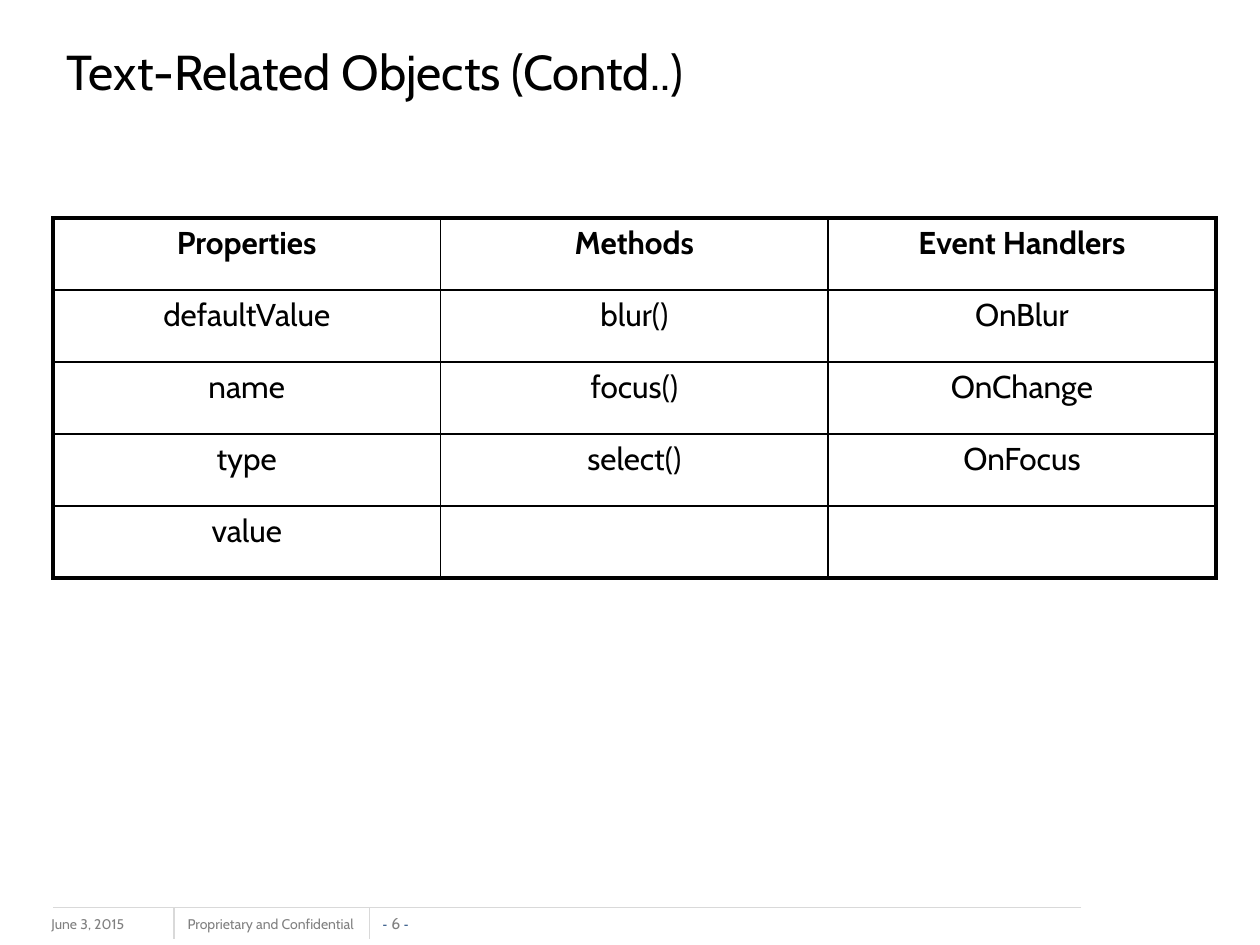
from pptx import Presentation
from pptx.dml.color import RGBColor
from pptx.enum.shapes import MSO_CONNECTOR as Conn
from pptx.enum.text import MSO_ANCHOR as Anchor, PP_ALIGN as Align
from pptx.oxml.ns import qn
from pptx.util import Inches, Pt
from lxml.etree import SubElement as Sub


def color(code):
    return RGBColor.from_string(code)


class Deck:
    font = "Cabin"
    ink = "000000"
    gray = "808080"
    rule = "D9D9D9"

    def __init__(self):
        self.prs = Presentation()
        self.prs.slide_width = Inches(10)
        self.prs.slide_height = Inches(7.5)
        self.slide = self.prs.slides.add_slide(self.prs.slide_layouts[5])

    def run(self, para, text, size, code, font=None, bold=False):
        run = para.add_run()
        run.text = text
        run.font.name = font or self.font
        run.font.size = Pt(size)
        run.font.bold = bold
        run.font.color.rgb = color(code)

    def title(self, text, box):
        shape = self.slide.shapes.title
        shape.left, shape.top, shape.width, shape.height = map(Inches, box)
        frame = shape.text_frame
        frame.vertical_anchor = Anchor.MIDDLE
        frame.word_wrap = True
        para = frame.paragraphs[0]
        para.alignment = Align.LEFT
        self.run(para, text, 28, self.ink)

    def text(self, box, runs, wrap=False, tight=False):
        frame = self.slide.shapes.add_textbox(*map(Inches, box)).text_frame
        frame.word_wrap = wrap
        para = frame.paragraphs[0]
        if tight:
            frame.margin_left = frame.margin_right = 0
            frame.margin_top = frame.margin_bottom = 0
            frame.vertical_anchor = Anchor.BOTTOM
            para.alignment = Align.CENTER
        for item in runs:
            self.run(para, *item)

    def line(self, *ends):
        line = self.slide.shapes.add_connector(
            Conn.STRAIGHT, *map(Inches, ends))
        line.line.color.rgb = color(self.rule)
        line.line.width = Pt(0.75)
        Sub(line._element.spPr, qn("a:effectLst"))

    def edge(self, cell, side, width):
        props = cell._tc.get_or_add_tcPr()
        edge = Sub(props, qn("a:ln" + side), w=str(Pt(width)))
        fill = Sub(edge, qn("a:solidFill"))
        Sub(fill, qn("a:srgbClr"), val=self.ink)

    def table(self, box, rows):
        high, wide = len(rows), len(rows[0])
        table = self.slide.shapes.add_table(
            high, wide, *map(Inches, box)).table
        table.horz_banding = False
        for r, row in enumerate(rows):
            for c, text in enumerate(row):
                cell = table.cell(r, c)
                outer = {"L": c == 0, "R": c == wide - 1,
                         "T": r == 0, "B": r == high - 1}
                for side, thick in outer.items():
                    self.edge(cell, side, 2.25 if thick else 1)
                cell.fill.background()
                para = cell.text_frame.paragraphs[0]
                para.alignment = Align.CENTER
                if text:
                    self.run(para, text, 18, self.ink, bold=r == 0)

    def foot(self):
        dash = "1F497D"
        self.text((0.31, 7.22, 1.33, 0.25),
                  [("June 3, 2015", 8, self.gray)], wrap=True)
        self.text((1.39, 7.22, 1.57, 0.24),
                  [("Proprietary and Confidential", 8, self.gray)])
        self.text((3.01, 7.25, 0.26, 0.15),
                  [("- ", 8, dash, "Arial"), ("6 ", 9, self.gray),
                   ("-", 8, dash, "Arial")], tight=True)
        self.line(8.58, 7.2, 0.42, 7.2)
        for x in (1.38, 2.93):
            self.line(x, 7.2, x, 7.45)


def main():
    deck = Deck()
    deck.foot()
    deck.title("Text-Related Objects (Contd..)", (0.43, 0.17, 8.82, 0.78))
    deck.table((0.42, 1.73, 9.23, 2.86), [
        ("Properties", "Methods", "Event Handlers"),
        ("defaultValue", "blur()", "OnBlur"),
        ("name", "focus()", "OnChange"),
        ("type", "select()", "OnFocus"),
        ("value", "", ""),
    ])
    deck.prs.save("out.pptx")


if __name__ == "__main__":
    main()
